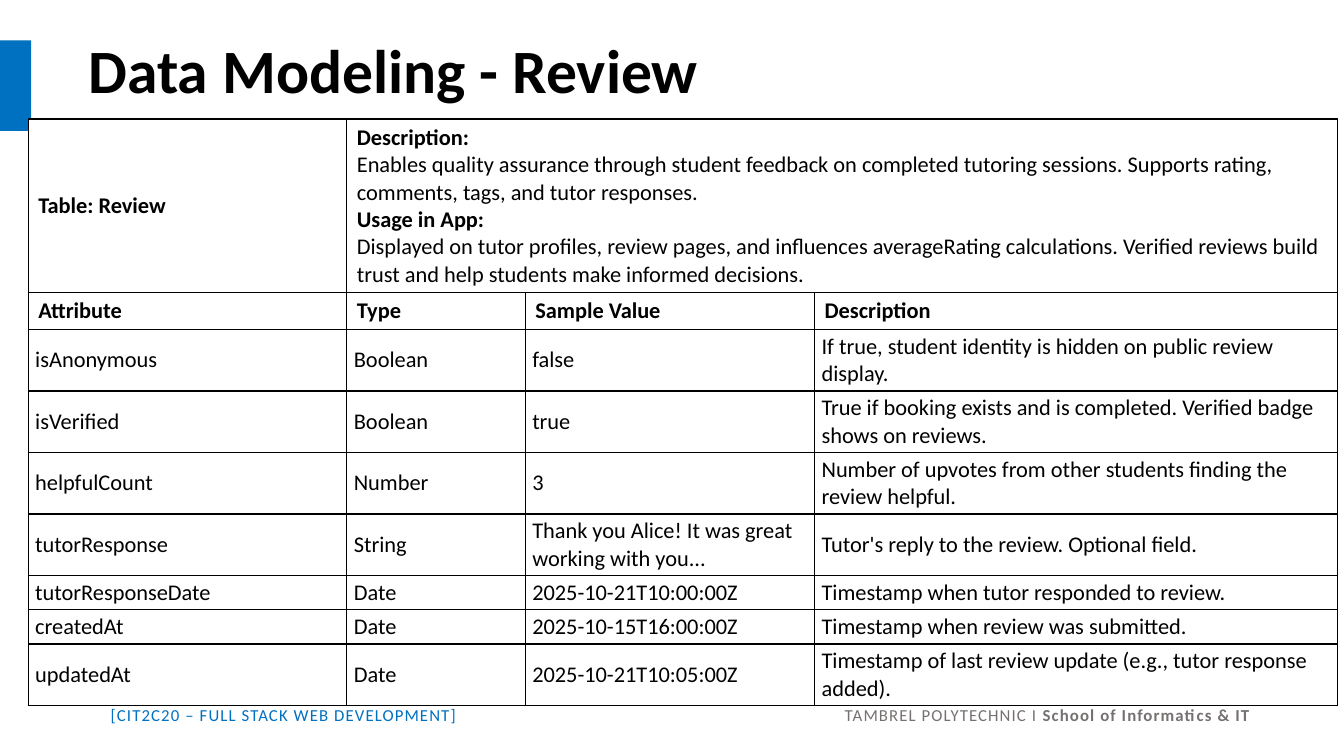
from dataclasses import dataclass
from typing import NamedTuple

from lxml.etree import SubElement
from pptx import Presentation
from pptx.dml.color import RGBColor as RGB
from pptx.enum.shapes import MSO_SHAPE as Shape
from pptx.enum.text import MSO_ANCHOR as Anchor
from pptx.oxml.ns import qn
from pptx.util import Inches, Pt


@dataclass(frozen=True)
class Theme:
    font: str = "Calibri"
    ink: RGB = RGB(0x00, 0x00, 0x00)
    paper: RGB = RGB(0xFF, 0xFF, 0xFF)
    accent: RGB = RGB(0x00, 0x70, 0xC0)
    muted: RGB = RGB(0x76, 0x71, 0x71)
    title_size: Pt = Pt(44)
    table_size: Pt = Pt(16)
    footer_size: Pt = Pt(12)
    border: Pt = Pt(1)


class Box(NamedTuple):
    left: float
    top: float
    width: float
    height: float

    def lengths(self) -> list:
        return [Inches(side) for side in self]


class Line(NamedTuple):
    text: str
    bold: bool = False


class Attribute(NamedTuple):
    name: str
    type: str
    sample: str
    description: str
    height: float


THEME = Theme()
ONE_LINE, TWO_LINES = 0.34, 0.61
COLUMN_WIDTHS = (3.16, 1.77, 2.87, 5.19)
SUMMARY_HEIGHT, HEADING_HEIGHT = 1.72, 0.37
HEADINGS = ("Attribute", "Type", "Sample Value", "Description")
BODY_MARGINS = {
    "margin_left": Inches(0.07), "margin_right": Inches(0.07),
    "margin_top": Inches(0.03), "margin_bottom": Inches(0.03),
}
SUMMARY = (
    Line("Description:", True),
    Line("Enables quality assurance through student feedback on completed tutoring "
         "sessions. Supports rating, comments, tags, and tutor responses."),
    Line("Usage in App:", True),
    Line("Displayed on tutor profiles, review pages, and influences averageRating "
         "calculations. Verified reviews build trust and help students make informed "
         "decisions."),
)
ATTRIBUTES = (
    Attribute("isAnonymous", "Boolean", "false",
              "If true, student identity is hidden on public review display.", TWO_LINES),
    Attribute("isVerified", "Boolean", "true",
              "True if booking exists and is completed. Verified badge shows on reviews.",
              TWO_LINES),
    Attribute("helpfulCount", "Number", "3",
              "Number of upvotes from other students finding the review helpful.",
              TWO_LINES),
    Attribute("tutorResponse", "String",
              "Thank you Alice! It was great working with you...",
              "Tutor's reply to the review. Optional field.", TWO_LINES),
    Attribute("tutorResponseDate", "Date", "2025-10-21T10:00:00Z",
              "Timestamp when tutor responded to review.", ONE_LINE),
    Attribute("createdAt", "Date", "2025-10-15T16:00:00Z",
              "Timestamp when review was submitted.", ONE_LINE),
    Attribute("updatedAt", "Date", "2025-10-21T10:05:00Z",
              "Timestamp of last review update (e.g., tutor response added).", TWO_LINES),
)


def apply(target, values: dict) -> None:
    for name, value in values.items():
        setattr(target, name, value)


def add_run(paragraph, line: Line, size: Pt, color: RGB):
    run = paragraph.add_run()
    run.text = line.text
    apply(run.font, {"name": THEME.font, "size": size, "bold": line.bold})
    run.font.color.rgb = color
    return run


def add_text_frame(slide, box: Box, anchor: Anchor):
    frame = slide.shapes.add_textbox(*box.lengths()).text_frame
    apply(frame, {"word_wrap": True, "vertical_anchor": anchor})
    return frame


def add_footer(slide) -> None:
    """Course on the left, school after a tab stop, all letter-spaced."""
    paragraph = add_text_frame(slide, Box(1, 6.94, 11.63, 0.3), Anchor.TOP).paragraphs[0]
    tabs = SubElement(paragraph._p.get_or_add_pPr(), qn("a:tabLst"))
    SubElement(tabs, qn("a:tab"), pos=str(Inches(7.28)), algn="l")
    for line, color in (
        (Line("[CIT2C20 – FULL STACK WEB DEVELOPMENT]\t"), THEME.accent),
        (Line("TAMBREL POLYTECHNIC I "), THEME.muted),
        (Line("School of Informatics & IT", True), THEME.muted),
    ):
        run = add_run(paragraph, line, THEME.footer_size, color)
        run.font._element.set("spc", "80")


def add_accent_bar(slide) -> None:
    bar = slide.shapes.add_shape(Shape.RECTANGLE, *Box(0, 0.4, 0.31, 0.9).lengths())
    bar.shadow.inherit = False
    bar.fill.solid()
    bar.fill.fore_color.rgb = THEME.accent
    bar.line.fill.background()


def add_title(slide) -> None:
    frame = add_text_frame(slide, Box(0.78, 0, 11.5, 1.45), Anchor.MIDDLE)
    paragraph = frame.paragraphs[0]
    paragraph.line_spacing = 0.9
    add_run(paragraph, Line("Data Modeling - Review", True), THEME.title_size, THEME.ink)


def style_cell(cell) -> None:
    """Border on all four sides, then the fill, in the order the schema asks for."""
    properties = cell._tc.get_or_add_tcPr()
    for side in ("a:lnL", "a:lnR", "a:lnT", "a:lnB"):
        edge = SubElement(properties, qn(side), w=str(THEME.border))
        fill = SubElement(edge, qn("a:solidFill"))
        SubElement(fill, qn("a:srgbClr"), val=str(THEME.ink))
    cell.fill.solid()
    cell.fill.fore_color.rgb = THEME.paper
    cell.vertical_anchor = Anchor.MIDDLE


def write_cell(cell, *lines: Line) -> None:
    frame = cell.text_frame
    for index, line in enumerate(lines):
        paragraph = frame.add_paragraph() if index else frame.paragraphs[0]
        add_run(paragraph, line, THEME.table_size, THEME.ink)


def add_review_table(slide) -> None:
    heights = (SUMMARY_HEIGHT, HEADING_HEIGHT, *(item.height for item in ATTRIBUTES))
    box = Box(0.28, 1.18, sum(COLUMN_WIDTHS), sum(heights))
    table = slide.shapes.add_table(
        len(heights), len(COLUMN_WIDTHS), *box.lengths()).table
    apply(table, {"first_row": False, "horz_banding": False})
    for column, width in zip(table.columns, COLUMN_WIDTHS):
        column.width = Inches(width)
    for row, height in zip(table.rows, heights):
        row.height = Inches(height)
    for cell in table.iter_cells():
        style_cell(cell)

    table.cell(0, 1).merge(table.cell(0, 3))
    write_cell(table.cell(0, 0), Line("Table: Review", True))
    write_cell(table.cell(0, 1), *SUMMARY)
    for column, heading in enumerate(HEADINGS):
        write_cell(table.cell(1, column), Line(heading, True))
    for row, item in enumerate(ATTRIBUTES, start=2):
        for column, text in enumerate(item[:-1]):
            cell = table.cell(row, column)
            apply(cell, BODY_MARGINS)
            write_cell(cell, Line(text))


def main() -> None:
    deck = Presentation()
    apply(deck, {"slide_width": Inches(13.33), "slide_height": Inches(7.5)})
    slide = deck.slides.add_slide(deck.slide_layouts[6])
    for add_part in (add_footer, add_accent_bar, add_title, add_review_table):
        add_part(slide)
    deck.save("out.pptx")


if __name__ == "__main__":
    main()
